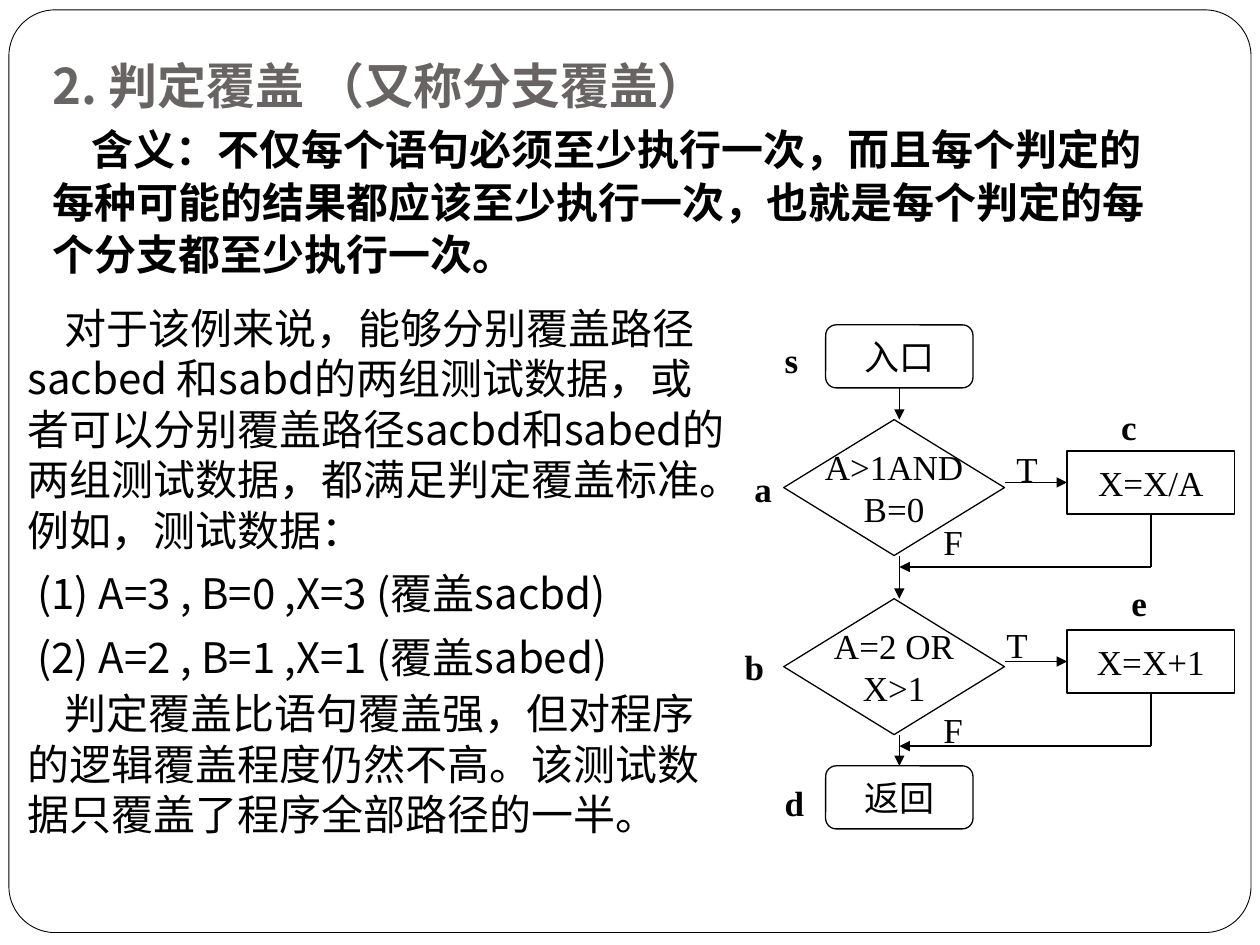
from lxml.etree import SubElement
from pptx import Presentation
from pptx.dml.color import RGBColor
from pptx.enum.shapes import MSO_CONNECTOR, MSO_SHAPE
from pptx.enum.text import MSO_ANCHOR, MSO_AUTO_SIZE, PP_ALIGN
from pptx.oxml.ns import qn
from pptx.util import Cm, Pt

HUES = {"ink": "000000", "head": "696464", "paper": "FFFFFF"}
SANS, SERIF = "Noto Sans CJK SC", "Times New Roman"
FONTS = {
    "title": {"name": SANS, "size": Pt(28), "bold": True},
    "lead": {"name": SANS, "size": Pt(24), "bold": True},
    "body": {"name": SANS, "size": Pt(24), "bold": False},
    "flow": {"name": SERIF, "size": Pt(20), "bold": False},
    "mark": {"name": SERIF, "size": Pt(20), "bold": True},
}

TITLE = "2. 判定覆盖 （又称分支覆盖）"
LEAD = ("含义：不仅每个语句必须至少执行一次，而且每个判定的每种可能的结果都应该"
        "至少执行一次，也就是每个判定的每个分支都至少执行一次。")
# text, first-line indent in cm, space before in points
BODY = [
    ("对于该例来说，能够分别覆盖路径sacbed 和sabd的两组测试数据，或者可以分别"
     "覆盖路径sacbd和sabed的两组测试数据，都满足判定覆盖标准。例如，测试数据：", 0.75, 0),
    ("(1) A=3 , B=0 ,X=3 (覆盖sacbd)", 0.2, 7.5),
    ("(2) A=2 , B=1 ,X=1 (覆盖sabed)", 0.2, 7.5),
    ("判定覆盖比语句覆盖强，但对程序的逻辑覆盖程度仍然不高。该测试数据只覆盖了"
     "程序全部路径的一半。", 0.75, 3.5),
]
ENDS = [("入口", 6.55), ("返回", 15.44)]
TESTS = [(["A>1AND", "B=0"], "X=X/A"), (["A=2 OR", "X>1"], "X=X+1")]
# text, left, top in cm
MARKS = [("s", 15.57, 6.7), ("a", 14.96, 9.3), ("b", 14.76, 12.88),
         ("d", 15.57, 15.62), ("c", 22.35, 8.05), ("e", 22.56, 11.6)]
SIDES = [("T", 20.24, 8.89), ("F", 18.77, 10.36),
         ("F", 18.77, 14.15), ("T", 20.04, 12.45)]

MID, TOP, STEP = 18.13, 8.46, 3.61      # flow axis, first test, pitch
END_W, BOX_W, BOX_H = 2.97, 3.38, 1.27
TEST_X, TEST_W, TEST_H = 15.8, 4.45, 2.74
BOX_X, DROP = 21.51, 1.07


def hue(key):
    return RGBColor.from_string(HUES[key])


def write(para, text, style, tint="ink"):
    run = para.add_run()
    run.text = text
    for key, val in FONTS[style].items():
        setattr(run.font, key, val)
    run.font.color.rgb = hue(tint)
    if FONTS[style]["name"] == SANS:
        SubElement(run.font._element, qn("a:ea")).set("typeface", SANS)


def place(shape, *rect):
    for key, val in zip(("left", "top", "width", "height"), rect):
        setattr(shape, key, Cm(val))


def frame(shape, **opts):
    base = {"word_wrap": True, "auto_size": MSO_AUTO_SIZE.NONE,
            "vertical_anchor": MSO_ANCHOR.TOP}
    for key, val in (base | opts).items():
        setattr(shape.text_frame, key, val)
    return shape.text_frame


def indent(para, first):
    props = para._p.get_or_add_pPr()
    props.set("marL", "0")
    props.set("indent", str(Cm(first)))
    SubElement(props, qn("a:buNone"))


def label(text, x, y, style, wide, wrap):
    box = slide.shapes.add_textbox(Cm(x), Cm(y), Cm(wide), Cm(1.12))
    write(frame(box, word_wrap=wrap).paragraphs[0], text, style)


def node(kind, rect, lines=(), line=0.75):
    shape = slide.shapes.add_shape(kind, *map(Cm, rect))
    shape.shadow.inherit = False
    shape.fill.solid()
    shape.fill.fore_color.rgb = hue("paper")
    shape.line.color.rgb = hue("ink")
    shape.line.width = Pt(line)
    text = frame(shape, word_wrap=False, vertical_anchor=MSO_ANCHOR.MIDDLE)
    for i, item in enumerate(lines):
        para = text.add_paragraph() if i else text.paragraphs[0]
        para.alignment = PP_ALIGN.CENTER
        write(para, item, "flow")
    return shape


def link(x1, y1, x2, y2, tip=True, start=None, stop=None):
    """Draw a line in cm; start and stop are (shape, site) pairs to join."""
    wire = slide.shapes.add_connector(MSO_CONNECTOR.STRAIGHT,
                                      *map(Cm, (x1, y1, x2, y2)))
    wire.line.color.rgb = hue("ink")
    wire.line.width = Pt(0.75)
    if tip:
        SubElement(wire.line._get_or_add_ln(), qn("a:tailEnd")).set("type", "triangle")
    SubElement(wire._element.spPr, qn("a:effectLst"))
    if start:
        wire.begin_connect(*start)
    if stop:
        wire.end_connect(*stop)


deck = Presentation()
deck.slide_width, deck.slide_height = Cm(25.4), Cm(19.05)
slide = deck.slides.add_slide(deck.slide_layouts[1])
title, body = slide.placeholders

rim = node(MSO_SHAPE.ROUNDED_RECTANGLE, (0.18, 0.2, 25.04, 18.6), line=0.5)
rim.adjustments[0] = 0.05
slide.shapes._spTree.insert(2, rim._element)

place(title, 0.81, 0.94, 15.29, 1.5)
para = frame(title).paragraphs[0]
para.alignment, para.line_spacing = PP_ALIGN.LEFT, 1.05
write(para, TITLE, "title", "head")

lead = slide.shapes.add_textbox(Cm(0.81), Cm(2.31), Cm(23.29), Cm(3.45))
para = frame(lead).paragraphs[0]
indent(para, 0.79)
para.line_spacing = 1.05
write(para, LEAD, "lead")

place(body, 0.3, 5.97, 14.61, 11.05)
text = frame(body)
for i, (words, first, gap) in enumerate(BODY):
    para = text.add_paragraph() if i else text.paragraphs[0]
    indent(para, first)
    para.space_before = Pt(gap)
    write(para, words, "body")

entry, leave = [node(MSO_SHAPE.FLOWCHART_ALTERNATE_PROCESS,
                     (MID - END_W / 2, y, END_W, BOX_H), [name])
                for name, y in ENDS]
link(MID, ENDS[0][1] + BOX_H, MID, TOP, start=(entry, 2))
for i, (test, act) in enumerate(TESTS):
    y = TOP + i * STEP
    foot = y + TEST_H
    box_y = y + 0.63
    row, base = box_y + BOX_H / 2, box_y + BOX_H
    mid = BOX_X + BOX_W / 2
    last = i == len(TESTS) - 1
    node(MSO_SHAPE.FLOWCHART_DECISION, (TEST_X, y, TEST_W, TEST_H), test)
    box = node(MSO_SHAPE.FLOWCHART_PROCESS, (BOX_X, box_y, BOX_W, BOX_H), [act])
    link(TEST_X + TEST_W, row, BOX_X, row, stop=(box, 1))
    link(mid, base, mid, base + DROP, tip=False, start=(box, 2))
    link(mid, base + DROP, MID, base + DROP)
    link(MID, foot, MID, ENDS[1][1] if last else y + STEP,
         stop=(leave, 0) if last else None)

for mark in MARKS:
    label(*mark, "mark", 0.85, False)
for side in SIDES:
    label(*side, "flow", 1, True)

deck.save("out.pptx")
